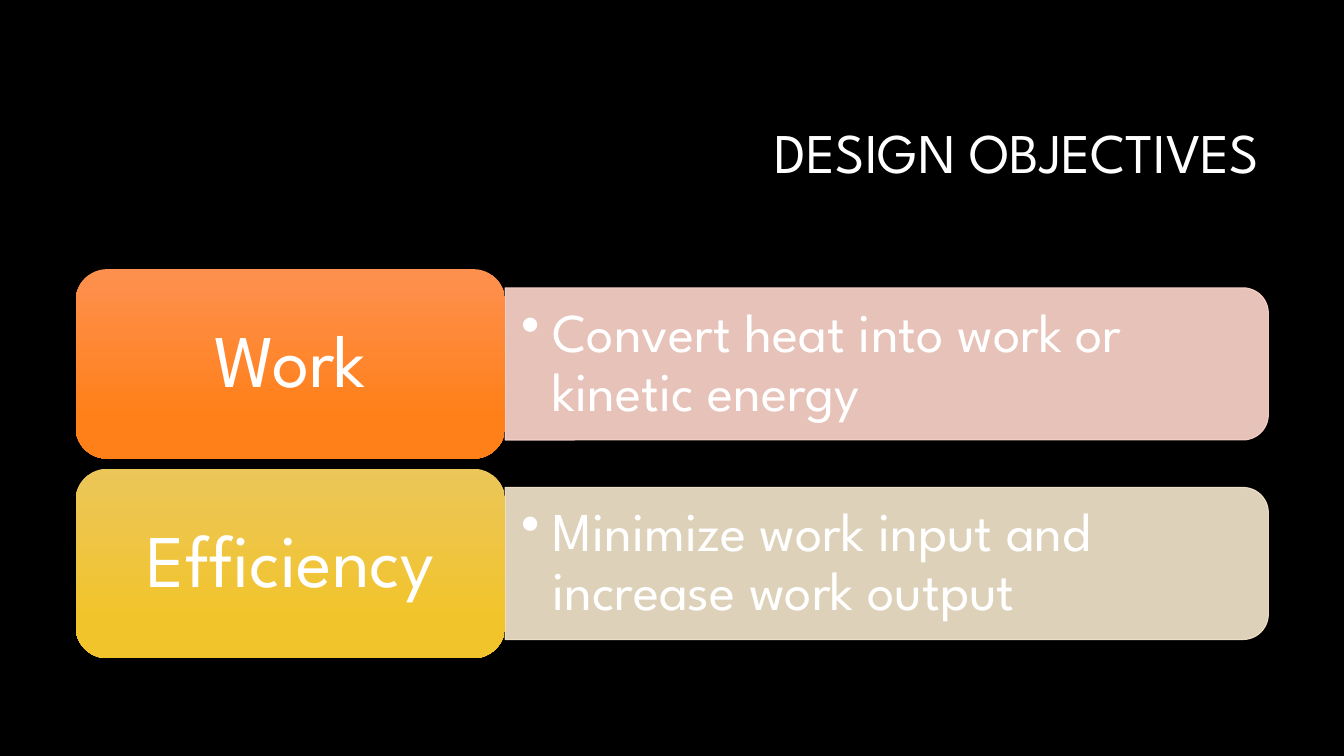
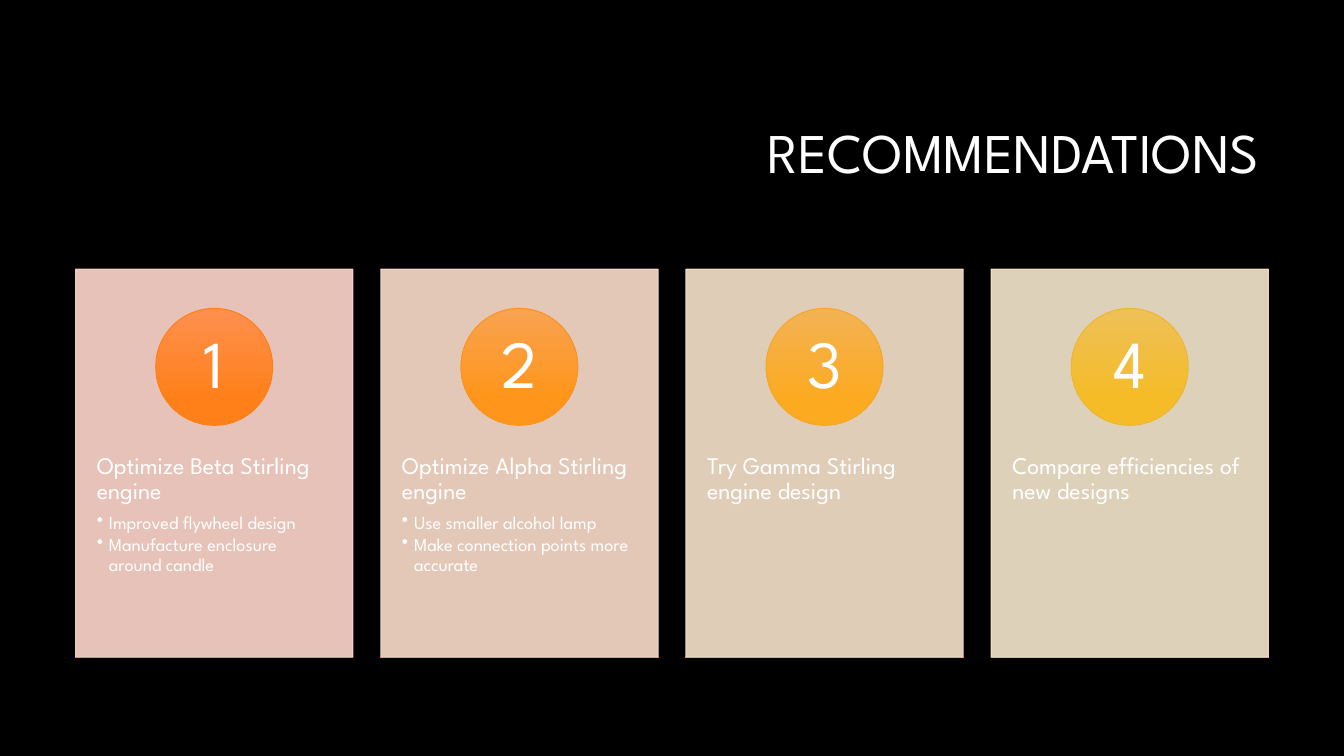
from dataclasses import dataclass

from lxml import etree
from pptx import Presentation
from pptx.dml.color import RGBColor
from pptx.enum.shapes import MSO_SHAPE
from pptx.enum.text import MSO_ANCHOR, PP_ALIGN
from pptx.oxml.ns import qn
from pptx.util import Inches, Pt

RECT, OVAL = MSO_SHAPE.RECTANGLE, MSO_SHAPE.OVAL
ROUNDED, TOP_ROUNDED = MSO_SHAPE.ROUNDED_RECTANGLE, MSO_SHAPE.ROUND_2_SAME_RECTANGLE
TOP, MIDDLE = MSO_ANCHOR.TOP, MSO_ANCHOR.MIDDLE
LEFT, CENTER, RIGHT = PP_ALIGN.LEFT, PP_ALIGN.CENTER, PP_ALIGN.RIGHT


@dataclass(frozen=True)
class Theme:
    font: str = "League Spartan"
    background: str = "000000"
    text: str = "FFFFFF"
    orange: tuple = ("FE904F", "FF8019")
    gold: tuple = ("EBC659", "F2C42C")
    pink: str = "FFD8CD"
    cream: str = "F7E8CE"
    panel_alpha: int = 90
    line: float = 0.75
    title: int = 40
    label: int = 53
    objective: int = 39
    number: int = 48
    heading: int = 17
    detail: int = 13


T = Theme()


def paint(sp, colors, line=None):
    sp.shadow.inherit = False
    if isinstance(colors, tuple):
        sp.fill.gradient()
        sp.fill.gradient_angle = 270
        for stop, color, position in zip(sp.fill.gradient_stops, colors, (0, 0.78)):
            stop.color.rgb = RGBColor.from_string(color)
            stop.position = position
    else:
        sp.fill.solid()
        sp.fill.fore_color.rgb = RGBColor.from_string(colors)
    if line:
        sp.line.color.rgb = RGBColor.from_string(line)
        sp.line.width = Pt(T.line)
    else:
        sp.line.fill.background()
    if isinstance(colors, str):
        for color in sp.element.spPr.iter(qn("a:srgbClr")):
            etree.SubElement(color, qn("a:alpha"), val=str(T.panel_alpha * 1000))


def write(sp, paragraphs, align, anchor, margins):
    tf = sp.text_frame
    tf.word_wrap = True
    tf.vertical_anchor = anchor
    tf.margin_left = tf.margin_right = Inches(margins[0])
    tf.margin_top = tf.margin_bottom = Inches(margins[1])
    tf.text = "\n".join(text for text, size, indent in paragraphs)
    for p, (text, size, indent) in zip(tf.paragraphs, paragraphs):
        if indent:
            pPr = p._p.get_or_add_pPr()
            pPr.set("marL", str(Inches(indent)))
            pPr.set("indent", str(-Inches(indent)))
            etree.SubElement(pPr, qn("a:buChar"), char="•")
        p.alignment = align
        p.line_spacing = 0.9
        p.space_before = Pt(0)
        p.space_after = Pt(round(size * (0.15 if indent else 0.35)))
        for r in p.runs:
            r.font.name = T.font
            r.font.size = Pt(size)
            r.font.color.rgb = RGBColor.from_string(T.text)


prs = Presentation()
prs.slide_width, prs.slide_height = Inches(13.33), Inches(7.5)
fill = prs.slide_master.background.fill
fill.solid()
fill.fore_color.rgb = RGBColor.from_string(T.background)

slides = []
for title in ("DESIGN OBJECTIVES", "RECOMMENDATIONS"):
    s = prs.slides.add_slide(prs.slide_layouts[5])
    sp = s.shapes.title
    sp.left, sp.top = Inches(3.17), Inches(0.84)
    sp.width, sp.height = Inches(9.42), Inches(1.41)
    write(sp, [(title, T.title, 0)], RIGHT, MIDDLE, (0.1, 0.05))
    slides.append(s)
objectives, recommendations = slides

left, top, content_width = 0.75, 2.67, 11.83
label_width, label_height, row_pitch = 4.26, 1.88, 1.98
panel_left, panel_width, panel_height = left + label_width, 7.57, 1.51
text_width, text_height = 7.5, 1.36
rows = [
    ("Work", "Convert heat into work or kinetic energy", T.orange, T.pink),
    ("Efficiency", "Minimize work input and increase work output", T.gold, T.cream),
]
for i, (label, objective, label_colors, panel_color) in enumerate(rows):
    y = top + i * row_pitch
    middle = y + label_height / 2
    sp = objectives.shapes.add_shape(
        TOP_ROUNDED,
        Inches(panel_left + (panel_width - panel_height) / 2), Inches(middle - panel_width / 2),
        Inches(panel_height), Inches(panel_width))
    sp.rotation = 90
    paint(sp, panel_color, panel_color)
    sp = objectives.shapes.add_textbox(
        Inches(panel_left), Inches(middle - text_height / 2),
        Inches(text_width), Inches(text_height))
    write(sp, [(objective, T.objective, 0.31)], LEFT, MIDDLE, (0.16, 0.08))
    sp = objectives.shapes.add_shape(
        ROUNDED, Inches(left), Inches(y), Inches(label_width), Inches(label_height))
    paint(sp, label_colors)
    write(sp, [(label, T.label, 0)], CENTER, MIDDLE, (0.22, 0.11))

card_width, card_height, circle_size = 2.75, 3.85, 1.16
cards = [
    ("Optimize Beta Stirling engine",
     ["Improved flywheel design", "Manufacture enclosure around candle"],
     T.pink, T.orange, "FE801A", ("FB9950", "FF8B1A"), "FB8B1E"),
    ("Optimize Alpha Stirling engine",
     ["Use smaller alcohol lamp", "Make connection points more accurate"],
     "FCDECD", ("F9A251", "FF961B"), "F89522", ("F6AA52", "FFA01C"), "F59F26"),
    ("Try Gamma Stirling engine design", [],
     "F9E4CD", ("F3B254", "FCAA20"), "F2A82A", ("F1B956", "F9B324"), "EFB02D"),
    ("Compare efficiencies of new designs", [],
     T.cream, ("EEC057", "F5BC28"), "ECB831", T.gold, "E9BF35"),
]
card_pitch = (content_width - card_width) / (len(cards) - 1)
for i, (heading, details, card_color, circle_colors, circle_line,
        base_colors, base_line) in enumerate(cards):
    x = left + i * card_pitch
    sp = recommendations.shapes.add_shape(
        RECT, Inches(x), Inches(top), Inches(card_width), Inches(card_height))
    paint(sp, card_color, card_color)
    paragraphs = [(heading, T.heading, 0)] + [(d, T.detail, 0.12) for d in details]
    write(sp, paragraphs, LEFT, TOP, (0.21, 0.36))
    sp.text_frame.margin_top = Inches(1.83)
    sp = recommendations.shapes.add_shape(
        OVAL, Inches(x + (card_width - circle_size) / 2), Inches(3.06),
        Inches(circle_size), Inches(circle_size))
    paint(sp, circle_colors, circle_line)
    write(sp, [(str(i + 1), T.number, 0)], CENTER, MIDDLE, (0.09, 0.01))
    sp = recommendations.shapes.add_shape(
        RECT, Inches(x), Inches(top + card_height), Inches(card_width), Inches(0))
    paint(sp, base_colors, base_line)

prs.save("out.pptx")
